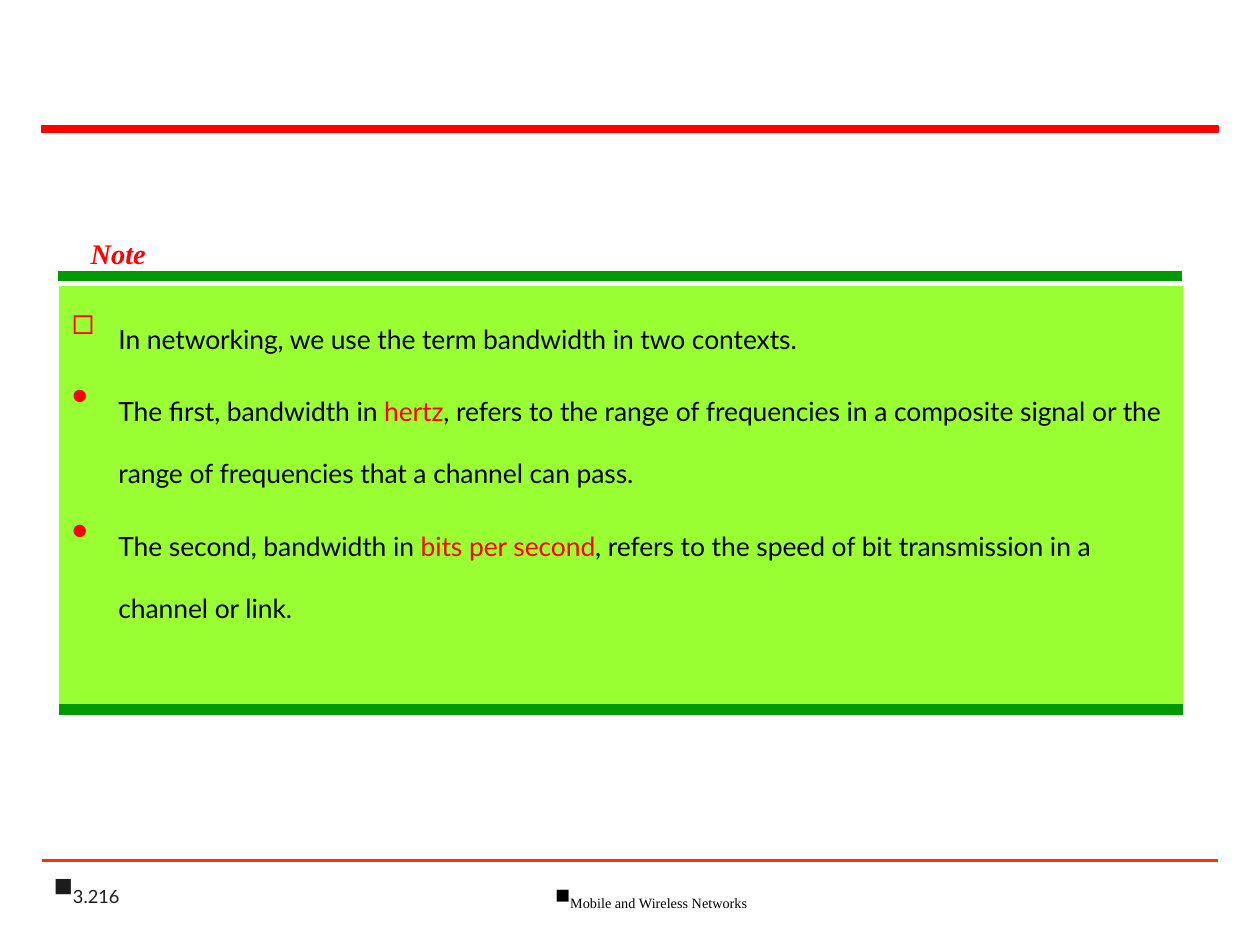
from lxml.etree import SubElement
from pptx import Presentation
from pptx.dml.color import RGBColor
from pptx.enum.shapes import MSO_CONNECTOR, MSO_SHAPE
from pptx.enum.text import MSO_ANCHOR, MSO_AUTO_SIZE, PP_ALIGN
from pptx.oxml.ns import qn
from pptx.util import Inches, Pt

WIDTH, HEIGHT = 10, 7.5
MARGIN = 0.33
RED, BLACK, GREEN, LIME = "FF0000", "000000", "009900", "99FF33"
SANS, SERIF = "Lato", "Times New Roman"
SUBSCRIPT = "-25000"  # all text on this slide sits below the baseline

POINTS = [
    ("◻", 80, [("In networking, we use the term bandwidth in two contexts.", BLACK)]),
    ("•", 100, [
        ("The first, bandwidth in ", BLACK),
        ("hertz", RED),
        (", refers to the range of frequencies in a composite signal or the "
         "range of frequencies that a channel can pass.", BLACK)]),
    ("•", 100, [
        ("The second, bandwidth in ", BLACK),
        ("bits per second", RED),
        (", refers to the speed of bit transmission in a channel or link.", BLACK)]),
]


def color(value):
    return RGBColor.from_string(value)


def place(box, left, top, width, height):
    box.left, box.top = Inches(left), Inches(top)
    box.width, box.height = Inches(width), Inches(height)


def add_rule(page, left, top, width, line_color, weight):
    rule = page.shapes.add_connector(
        MSO_CONNECTOR.STRAIGHT, Inches(left), Inches(top),
        Inches(left + width), Inches(top))
    rule.line.color.rgb = color(line_color)
    rule.line.width = Pt(weight)
    SubElement(rule._element.spPr, qn("a:effectLst"))


def add_bar(page, left, top, width, height, fill):
    bar = page.shapes.add_shape(MSO_SHAPE.RECTANGLE, Inches(left), Inches(top),
                                Inches(width), Inches(height))
    bar.shadow.inherit = False
    bar.fill.solid()
    bar.fill.fore_color.rgb = bar.line.color.rgb = color(fill)
    bar.line.width = Pt(1)


def set_bullet(para, mark, mark_color, percent=100, indent=0):
    props = para._p.get_or_add_pPr()
    props.set("marL", str(Inches(indent)))
    props.set("indent", str(-Inches(indent)))
    tint = SubElement(props, qn("a:buClr"))
    SubElement(tint, qn("a:srgbClr"), val=mark_color)
    SubElement(props, qn("a:buSzPct"), val=str(percent * 1000))
    SubElement(props, qn("a:buFont"), typeface="Arial")
    SubElement(props, qn("a:buChar"), char=mark)


def add_span(para, text, size, font, text_color, strong=False):
    span = para.add_run()
    span.text = text
    span.font.size, span.font.name = Pt(size), font
    span.font.color.rgb = color(text_color)
    span.font.bold = span.font.italic = strong
    span.font._element.set("baseline", SUBSCRIPT)


def add_footer(page, bounds, text, size, font, text_color, align, anchor, indent):
    box = page.shapes.add_textbox(0, 0, 0, 0)
    place(box, *bounds)
    box.text_frame.word_wrap = True
    box.text_frame.vertical_anchor = anchor
    para = box.text_frame.paragraphs[0]
    para.alignment = align
    set_bullet(para, "■", text_color, indent=indent)
    add_span(para, text, size, font, text_color)


def fill_heading(box):
    place(box, 0.62, 1.56, 0.96, 0.57)
    frame = box.text_frame
    frame.word_wrap = False
    frame.auto_size = MSO_AUTO_SIZE.SHAPE_TO_FIT_TEXT
    frame.vertical_anchor = MSO_ANCHOR.TOP
    para = frame.paragraphs[0]
    para.alignment = PP_ALIGN.LEFT
    add_span(para, "Note", 28, SERIF, RED, strong=True)


def fill_panel(box):
    place(box, 0.47, 2.27, 8.92, 3.33)
    box.fill.solid()
    box.fill.fore_color.rgb = color(LIME)
    frame = box.text_frame
    frame.auto_size = MSO_AUTO_SIZE.NONE
    for number, (mark, percent, spans) in enumerate(POINTS):
        para = frame.add_paragraph() if number else frame.paragraphs[0]
        para.space_before = Pt(6 if number else 0)
        set_bullet(para, mark, RED, percent, indent=0.37)
        for text, text_color in spans:
            add_span(para, text, 26, SANS, text_color)


def main():
    deck = Presentation()
    deck.slide_width, deck.slide_height = Inches(WIDTH), Inches(HEIGHT)
    page = deck.slides.add_slide(deck.slide_layouts[1])
    heading, panel = page.placeholders

    # Frame of the page
    inner = WIDTH - 2 * MARGIN
    add_bar(page, MARGIN, 1, inner, 0.05, RED)
    add_rule(page, MARGIN, 6.83, inner, "FF3300", 1.5)

    # Footer
    add_footer(page, (MARGIN, 6.92, 2.08, 0.33), "3.216", 18, SANS, "1C1C1C",
               PP_ALIGN.LEFT, MSO_ANCHOR.BOTTOM, 0)
    add_footer(page, (3.42, 6.92, 3.5, 0.34), "Mobile and Wireless Networks", 14,
               SERIF, BLACK, PP_ALIGN.CENTER, MSO_ANCHOR.TOP, 0)

    # Note panel between its two rules
    add_rule(page, 0.46, 2.19, 8.92, GREEN, 6)
    add_rule(page, 0.47, 5.63, 8.92, GREEN, 6)
    fill_panel(panel)
    fill_heading(heading)

    deck.save("out.pptx")


if __name__ == "__main__":
    main()
